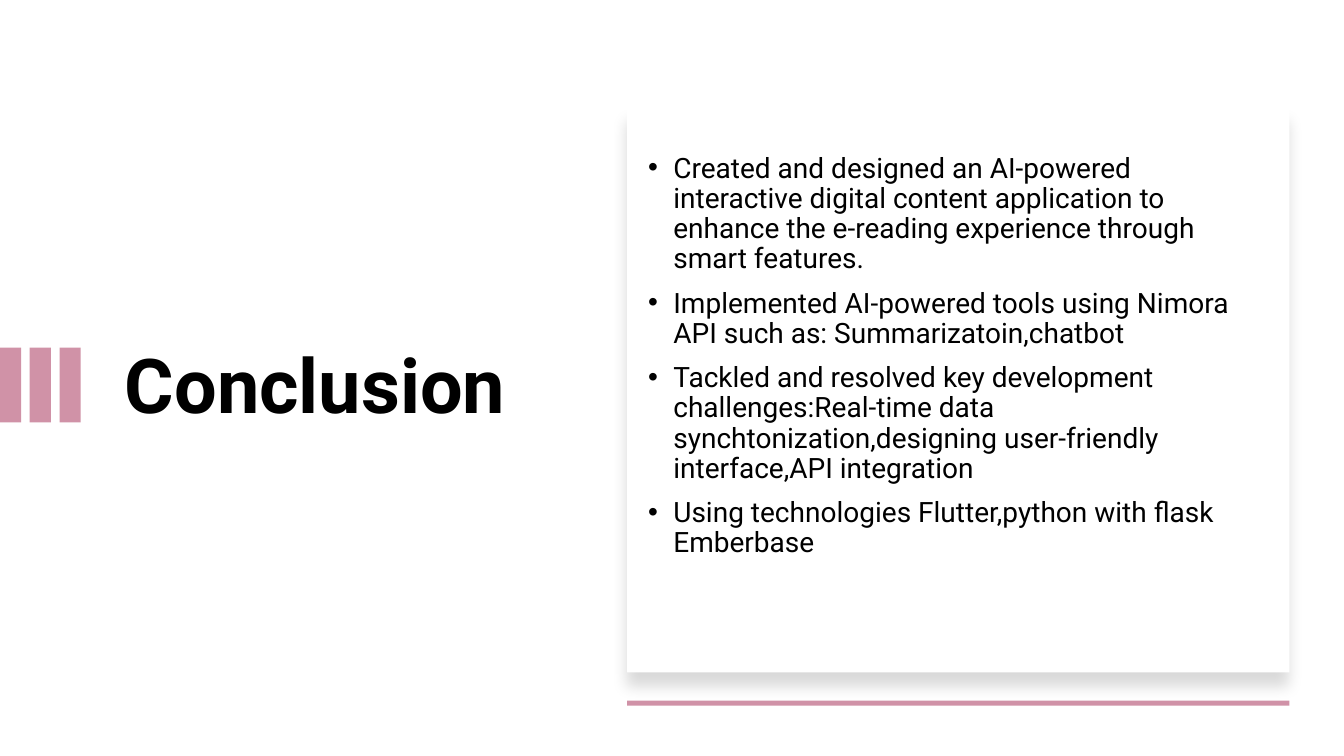
from lxml import etree
from pptx import Presentation
from pptx.dml.color import RGBColor
from pptx.enum.shapes import MSO_SHAPE
from pptx.enum.text import MSO_ANCHOR
from pptx.oxml import parse_xml
from pptx.oxml.ns import nsdecls, qn
from pptx.util import Inches, Pt

RECTANGLE = MSO_SHAPE.RECTANGLE
MIDDLE = MSO_ANCHOR.MIDDLE
FONT = "Roboto"
PINK, WHITE, BLACK = "D092A7", "FFFFFF", "000000"

presentation = Presentation()
presentation.slide_width = Inches(13.33)
presentation.slide_height = Inches(7.5)
slide = presentation.slides.add_slide(presentation.slide_layouts[6])


def add_rectangle(left, top, width, height, color):
    shape = slide.shapes.add_shape(
        RECTANGLE, Inches(left), Inches(top), Inches(width), Inches(height))
    shape.shadow.inherit = False
    shape.fill.solid()
    shape.fill.fore_color.rgb = RGBColor.from_string(color)
    shape.line.fill.background()
    return shape


def add_text(left, top, width, height, lines, size, bold=False):
    box = slide.shapes.add_textbox(
        Inches(left), Inches(top), Inches(width), Inches(height))
    text_frame = box.text_frame
    text_frame.word_wrap = True
    text_frame.vertical_anchor = MIDDLE
    text_frame.text = "\n".join(lines)
    for paragraph in text_frame.paragraphs:
        paragraph.line_spacing = 0.9
        font = paragraph.runs[0].font
        font.name = FONT
        font.size = Pt(size)
        font.bold = bold
        font.color.rgb = RGBColor.from_string(BLACK)
    return text_frame


# Title with three accent bars at the left edge
add_text(1.14, 1.5, 4.26, 4.71, ["Conclusion"], 54, bold=True)
BAR_WIDTH, BAR_PITCH = 0.21, 0.295
for column in range(3):
    add_rectangle(column * BAR_PITCH, 3.45, BAR_WIDTH, 0.74, PINK)

# Card with a soft shadow below it
CARD_LEFT, CARD_WIDTH = 6.22, 6.57
card = add_rectangle(CARD_LEFT, 1.07, CARD_WIDTH, 5.6, WHITE)
card_effects = card._element.spPr.find(qn("a:effectLst"))
card_effects.append(parse_xml(
    f'<a:outerShdw {nsdecls("a")} blurRad="{Pt(11)}" dist="{Pt(10)}" '
    f'dir="5400000" algn="t" rotWithShape="0"><a:srgbClr val="{BLACK}">'
    '<a:alpha val="15000"/></a:srgbClr></a:outerShdw>'))

# Bulleted conclusions
conclusions = [
    "Created and designed an AI-powered interactive digital content "
    "application to enhance the e-reading experience through smart features.",
    "Implemented AI-powered tools using Nimora API such as: "
    "Summarizatoin,chatbot",
    "Tackled and resolved key development challenges:Real-time data "
    "synchtonization,designing user-friendly interface,API integration",
    "Using technologies Flutter,python with flask Emberbase",
]
body = add_text(6.33, 1.5, 6.05, 4.95, conclusions, 20)
body.margin_bottom = Inches(0.93)
for paragraph in body.paragraphs:
    paragraph.space_before = Pt(10)
    properties = paragraph._p.get_or_add_pPr()
    properties.set("marL", str(Inches(0.25)))
    properties.set("indent", str(-Inches(0.25)))
    etree.SubElement(properties, qn("a:buFont")).set("typeface", "Arial")
    etree.SubElement(properties, qn("a:buChar")).set("char", "•")

# Accent line under the card
add_rectangle(CARD_LEFT, 6.95, CARD_WIDTH, 0.05, PINK)

presentation.save("out.pptx")
